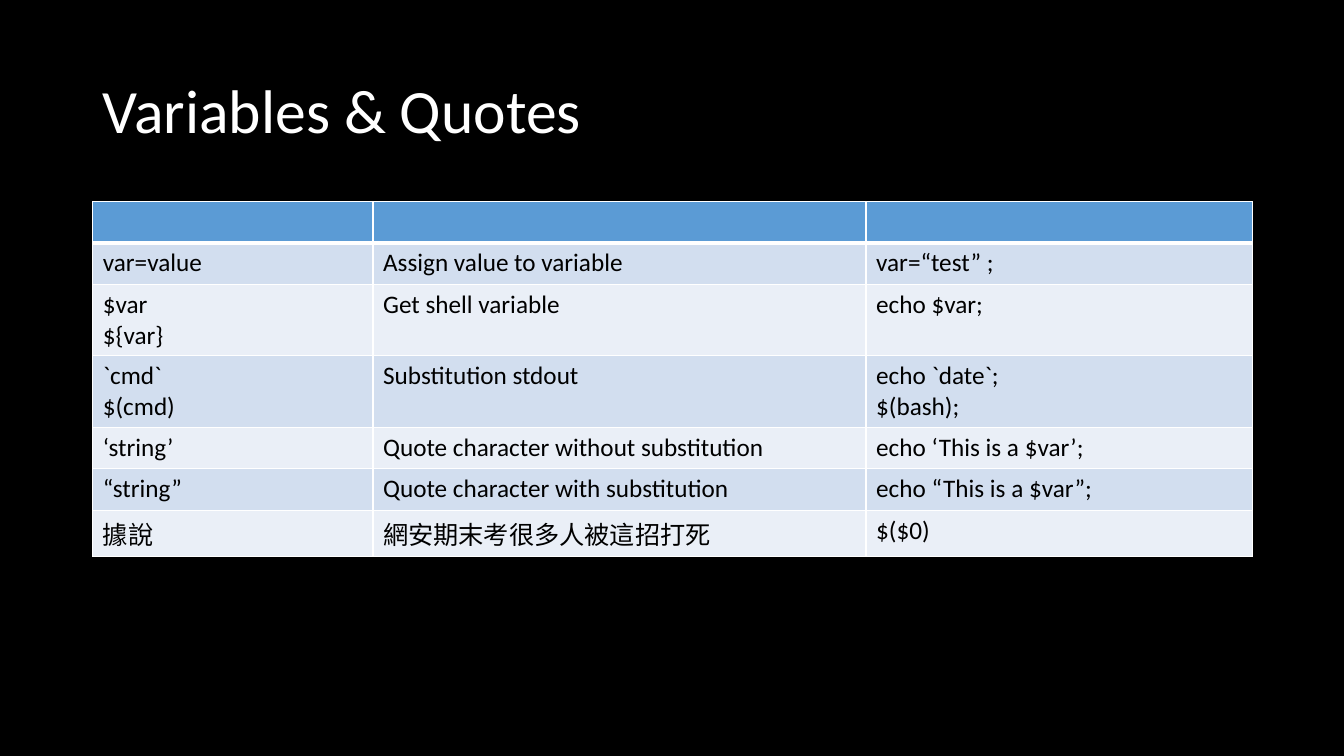
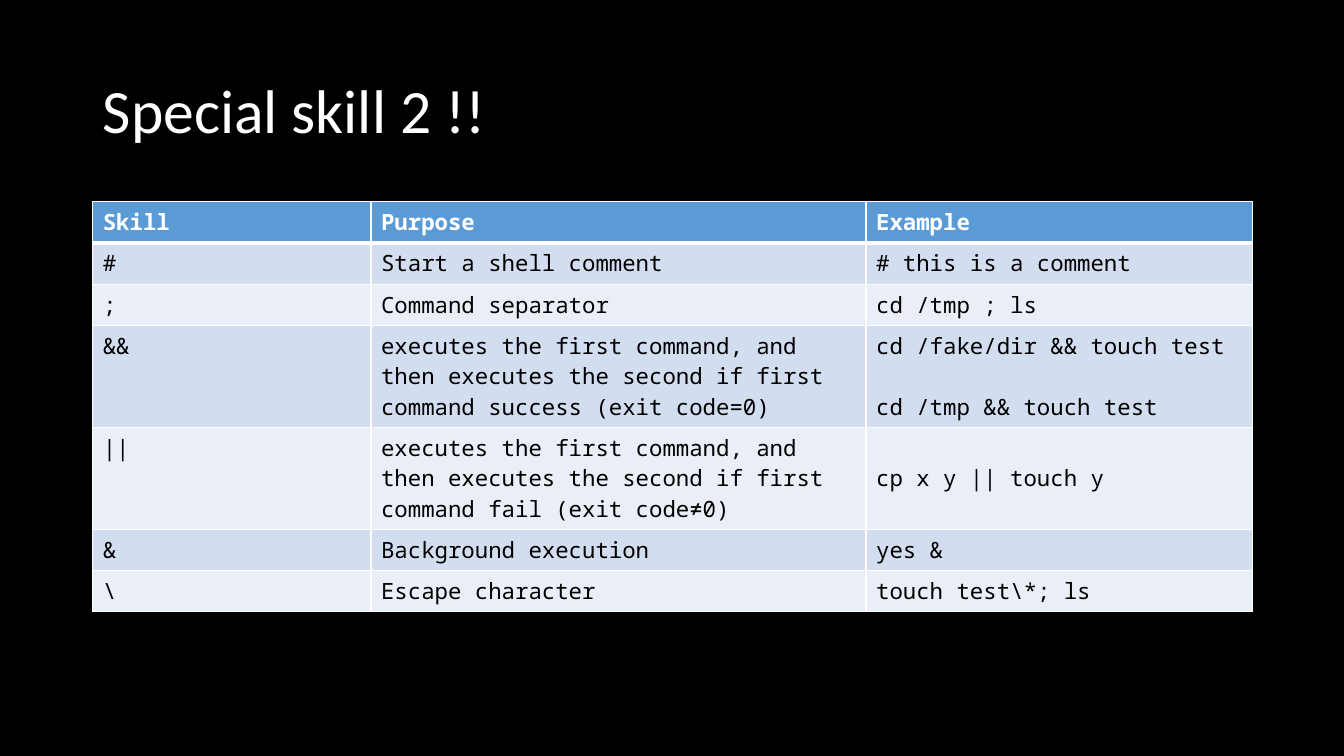
from lxml import etree
from pptx import Presentation
from pptx import util as u
from pptx.dml.color import RGBColor
from pptx.enum import text
from pptx.oxml import ns

BLACK = RGBColor(0x00, 0x00, 0x00)
WHITE = RGBColor(0xFF, 0xFF, 0xFF)
HEADER_BLUE = RGBColor(0x5B, 0x9B, 0xD5)
BAND_DARK = RGBColor(0xD2, 0xDE, 0xEF)
BAND_LIGHT = RGBColor(0xEA, 0xEF, 0xF7)

SANS, MONO = "Calibri", "Noto Sans Mono"
TITLE_BOX = (0.92, 0.4, 11.5, 1.45)
TABLE_BOX = (0.92, 2, 11.5)
TITLE_ONLY = 5
RULE, HEADER_RULE = 1, 3

# Text per cell: one string per paragraph, separated by line feeds
VARIABLES = [
    ("", "", ""),
    ("var=value", "Assign value to variable", "var=“test” ;"),
    ("$var\n${var}", "Get shell variable", "echo $var;"),
    ("`cmd`\n$(cmd)", "Substitution stdout", "echo `date`;\n$(bash);"),
    ("‘string’", "Quote character without substitution", "echo ‘This is a $var’;"),
    ("“string”", "Quote character with substitution", "echo “This is a $var”;"),
    ("據說", "網安期末考很多人被這招打死", "$($0)"),
]
FIRST_THEN = "executes the first command, and then executes the second if first command "
SKILLS = [
    ("Skill", "Purpose", "Example"),
    ("#", "Start a shell comment", "# this is a comment"),
    (";", "Command separator", "cd /tmp ; ls"),
    ("&&", FIRST_THEN + "success (exit code=0)",
     "cd /fake/dir && touch test\ncd /tmp && touch test"),
    ("||", FIRST_THEN + "fail (exit code≠0)", "cp x y || touch y"),
    ("&", "Background execution", "yes &"),
    ("\\", "Escape character", "touch test\\*; ls"),
]


def set_borders(cell, top, bottom):
    """Draw white rules on the four sides, widths in points."""
    properties = cell._tc.get_or_add_tcPr()
    for side, width in (("L", RULE), ("R", RULE), ("T", top), ("B", bottom)):
        line = etree.SubElement(properties, ns.qn(f"a:ln{side}"), w=str(u.Pt(width)))
        fill = etree.SubElement(line, ns.qn("a:solidFill"))
        etree.SubElement(fill, ns.qn("a:srgbClr"), val=str(WHITE))


def add_title(slide, wording, box):
    title = slide.shapes.title
    title.left, title.top, title.width, title.height = map(u.Inches, box)
    frame = title.text_frame
    frame.text = wording
    frame.vertical_anchor = text.MSO_ANCHOR.MIDDLE
    heading = frame.paragraphs[0]
    heading.alignment = text.PP_ALIGN.LEFT
    heading.line_spacing = 0.9
    heading.font.name, heading.font.size = SANS, u.Pt(44)
    heading.font.color.rgb = WHITE


def fill_cell(cell, wording, row, font, size):
    is_header = row == 0
    set_borders(cell, HEADER_RULE if row == 1 else RULE,
                HEADER_RULE if is_header else RULE)
    cell.fill.solid()
    cell.fill.fore_color.rgb = (HEADER_BLUE if is_header
                                else BAND_DARK if row % 2 else BAND_LIGHT)
    cell.text = wording
    for paragraph in cell.text_frame.paragraphs:
        paragraph.font.name, paragraph.font.size = font, u.Pt(size)
        paragraph.font.bold = is_header
        paragraph.font.color.rgb = WHITE if is_header else BLACK


def add_grid(slide, rows, box, columns, heights, font, size):
    """Add a banded table whose first row is the header."""
    left, top, width = box
    table = slide.shapes.add_table(
        len(rows), len(columns), u.Inches(left), u.Inches(top),
        u.Inches(width), u.Inches(sum(heights))).table
    for column, column_width in zip(table.columns, columns):
        column.width = u.Inches(column_width)
    for r, (wordings, height) in enumerate(zip(rows, heights)):
        table.rows[r].height = u.Inches(height)
        for c, wording in enumerate(wordings):
            fill_cell(table.cell(r, c), wording, r, font, size)
    return table


def add_table_slide(deck, title, rows, columns, heights, font, size):
    slide = deck.slides.add_slide(deck.slide_layouts[TITLE_ONLY])
    add_title(slide, title, TITLE_BOX)
    return add_grid(slide, rows, TABLE_BOX, columns, heights, font, size)


deck = Presentation()
deck.slide_width, deck.slide_height = u.Inches(13.33), u.Inches(7.5)

# Shared black background
backdrop = deck.slide_master.background.fill
backdrop.solid()
backdrop.fore_color.rgb = BLACK

# Variables and quotes
add_table_slide(deck, "Variables & Quotes", VARIABLES, (2.78, 4.89, 3.83),
                (0.41, 0.41, 0.71, 0.71, 0.41, 0.41, 0.46), SANS, 18)

# Shell operators
skills = add_table_slide(deck, "Special skill 2 !!", SKILLS, (2.76, 4.91, 3.83),
                         (0.41, 0.41, 0.41, 1.01, 1.01, 0.41, 0.41), MONO, 16)
and_example, or_example = skills.cell(3, 2), skills.cell(4, 2)
and_example.text_frame.paragraphs[1].space_before = u.Pt(21.8)
or_example.vertical_anchor = text.MSO_ANCHOR.MIDDLE

deck.save("out.pptx")
